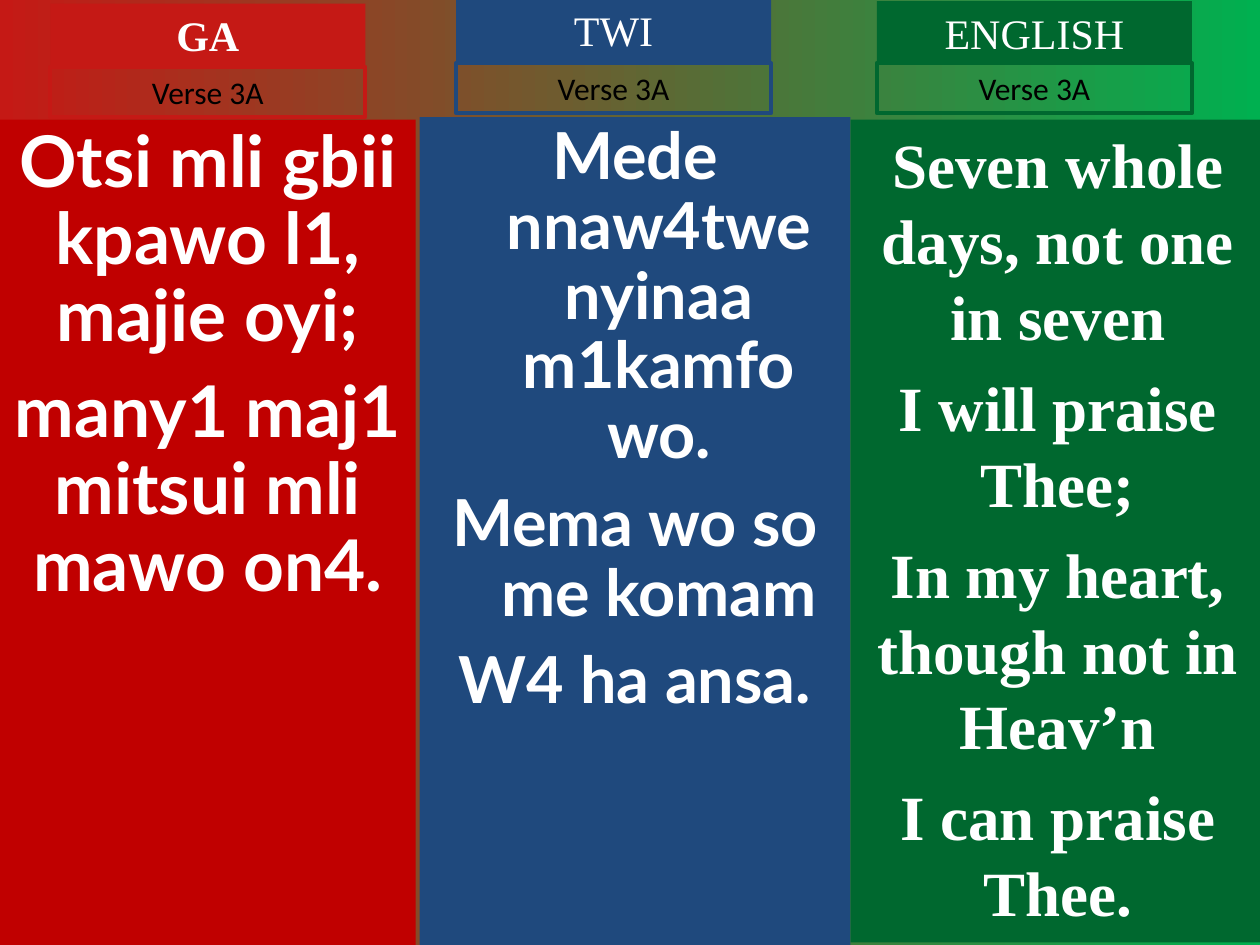
from dataclasses import dataclass

from pptx import Presentation
from pptx.dml.color import RGBColor
from pptx.enum.shapes import MSO_SHAPE
from pptx.enum.text import MSO_ANCHOR, PP_ALIGN
from pptx.util import Inches, Pt

RED = RGBColor(0xC0, 0x00, 0x00)
BRIGHT_RED = RGBColor(0xC5, 0x19, 0x15)
BLUE = RGBColor(0x1F, 0x49, 0x7D)
GREEN = RGBColor(0x00, 0x68, 0x2F)
BRIGHT_GREEN = RGBColor(0x00, 0xB0, 0x50)
WHITE = RGBColor(0xFF, 0xFF, 0xFF)
BLACK = RGBColor(0x00, 0x00, 0x00)

WIDTH, HEIGHT = Inches(10), Inches(7.5)
COLUMNS, ROWS = 100, 75
HEAD_WIDTH, HEAD_HEIGHT, VERSE_HEIGHT = 25, 5, 4
SERIF, SANS, LYRIC = "Times New Roman", "Calibri", "Lato"


def write(frame, *lines, font, size, color, bold=False, spacing=1.0, before=0, hanging=0):
    for index, line in enumerate(lines):
        para = frame.paragraphs[0] if index == 0 else frame.add_paragraph()
        para.alignment = PP_ALIGN.CENTER
        para.line_spacing = spacing
        para.space_before = Pt(before if index else 0)
        if hanging:
            properties = para._p.get_or_add_pPr()
            properties.set("marL", str(Inches(hanging)))
            properties.set("indent", str(-Inches(hanging)))
        span = para.add_run()
        span.text = line
        span.font.name = font
        span.font.size = Pt(size)
        span.font.bold = bold
        span.font.color.rgb = color


@dataclass
class HymnPage:
    page: object

    def background(self, start, end):
        fill = self.page.background.fill
        fill.gradient()
        fill.gradient_angle = 0
        for stop, color in zip(fill.gradient_stops, (start, end)):
            stop.color.rgb = color

    def box(self, left, top, width, height, fill=None, line=None):
        x, y = WIDTH / COLUMNS, HEIGHT / ROWS
        box = self.page.shapes.add_shape(
            MSO_SHAPE.RECTANGLE, int(left * x), int(top * y), int(width * x), int(height * y))
        box.shadow.inherit = False
        if fill is None:
            box.fill.background()
        else:
            box.fill.solid()
            box.fill.fore_color.rgb = fill
        if line is None:
            box.line.fill.background()
        else:
            box.line.color.rgb = line
            box.line.width = Pt(2.25)
        frame = box.text_frame
        frame.word_wrap = True
        frame.vertical_anchor = MSO_ANCHOR.TOP
        return frame

    def lyrics(self, place, lines, fill, **style):
        write(self.box(*place, fill=fill), *lines, color=WHITE, bold=True, **style)

    def heading(self, name, left, top, verse_top, color, bold=False):
        head = self.box(left, top, HEAD_WIDTH, HEAD_HEIGHT, fill=color)
        write(head, name, font=SERIF, size=24, color=WHITE, bold=bold)
        verse = self.box(left, verse_top, HEAD_WIDTH, VERSE_HEIGHT, line=color)
        write(verse, "Verse 3A", font=SANS, size=18, color=BLACK)


def main():
    deck = Presentation()
    deck.slide_width, deck.slide_height = WIDTH, HEIGHT
    hymn = HymnPage(deck.slides.add_slide(deck.slide_layouts[6]))
    hymn.background(BRIGHT_RED, BRIGHT_GREEN)

    hymn.lyrics((0, 9.5, 33, 65.5),
                ["Otsi mli gbii kpawo l1, majie oyi;", "many1 maj1 mitsui mli mawo on4."],
                RED, font=LYRIC, size=40.7, spacing=0.9, before=11)
    hymn.lyrics((33.3, 9.3, 34.2, 65.7),
                ["Mede nnaw4twe nyinaa m1kamfo wo.", "Mema wo so me komam", "W4 ha ansa."],
                BLUE, font=LYRIC, size=37, spacing=0.9, before=10, hanging=0.38)
    hymn.lyrics((67.5, 9.5, 32.9, 65.3),
                ["Seven whole days, not one in seven", "I will praise Thee;",
                 "In my heart, though not in Heav’n", "I can praise Thee."],
                GREEN, font=SERIF, size=36, before=9)

    hymn.heading("GA", 4, 0.3, 5.3, BRIGHT_RED, bold=True)
    hymn.heading("TWI", 36.2, -0.1, 5, BLUE)
    hymn.heading("ENGLISH", 69.6, 0.1, 5, GREEN)
    deck.save("out.pptx")


if __name__ == "__main__":
    main()
